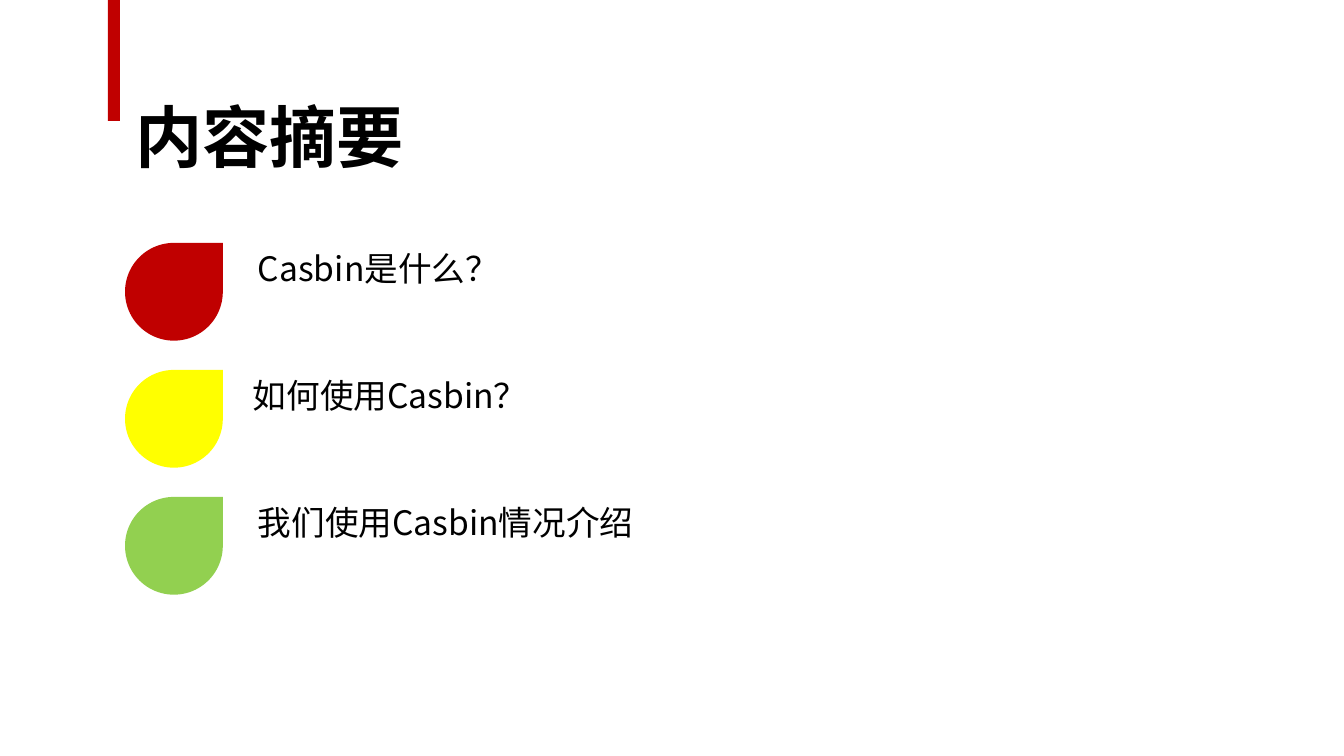
from lxml.etree import SubElement
from pptx import Presentation
from pptx.dml.color import RGBColor
from pptx.enum.lang import MSO_LANGUAGE_ID
from pptx.enum.shapes import MSO_SHAPE
from pptx.enum.text import MSO_ANCHOR, MSO_AUTO_SIZE, PP_ALIGN
from pptx.oxml.ns import qn
from pptx.util import Pt

PX = 9144
FONT = "Noto Sans CJK SC"
RED = RGBColor(0xC0, 0x00, 0x00)
YELLOW = RGBColor(0xFF, 0xFF, 0x00)
GREEN = RGBColor(0x92, 0xD0, 0x50)
BLACK = RGBColor(0x00, 0x00, 0x00)

TOPICS = [
    ("Casbin是什么？", RED, 122),
    ("如何使用Casbin？", YELLOW, 117),
    ("我们使用Casbin情况介绍", GREEN, 122),
]
TOPIC_PITCH = 126
DROP_SIZE = 97


def emu(*lengths):
    return [length * PX for length in lengths]


def set_values(target, values):
    for name, value in values.items():
        setattr(target, name, value)


def write_text(shape, text, size, bold, alignment, wrap):
    frame = shape.text_frame
    set_values(frame, {
        "word_wrap": wrap,
        "auto_size": MSO_AUTO_SIZE.SHAPE_TO_FIT_TEXT,
        "vertical_anchor": MSO_ANCHOR.TOP,
    })
    paragraph = frame.paragraphs[0]
    paragraph.alignment = alignment
    run = paragraph.add_run()
    run.text = text
    set_values(run.font, {
        "size": Pt(size),
        "bold": bold,
        "name": FONT,
        "language_id": MSO_LANGUAGE_ID.SIMPLIFIED_CHINESE,
    })
    run.font.color.rgb = BLACK
    SubElement(run.font._element, qn("a:ea"), typeface=FONT)


def add_filled_shape(slide, kind, box, color):
    shape = slide.shapes.add_shape(kind, *emu(*box))
    shape.shadow.inherit = False
    shape.fill.solid()
    shape.fill.fore_color.rgb = color
    shape.line.fill.background()


def add_heading(slide, left, top):
    add_filled_shape(slide, MSO_SHAPE.RECTANGLE, (left, top, 12, 120), RED)
    title = slide.shapes.title
    names = ("left", "top", "width", "height")
    set_values(title, dict(zip(names, emu(left + 17, top + 90, 287, 91))))
    write_text(title, "内容摘要", 48, True, PP_ALIGN.CENTER, False)


def add_topic(slide, left, top, text, color, indent):
    add_filled_shape(slide, MSO_SHAPE.TEAR, (left, top, DROP_SIZE, DROP_SIZE), color)
    label = slide.shapes.add_textbox(*emu(left + indent, top, 993, 50))
    write_text(label, text, 24, False, PP_ALIGN.LEFT, True)


def add_topics(slide, left, top):
    for index, (text, color, indent) in enumerate(TOPICS):
        add_topic(slide, left, top + index * TOPIC_PITCH, text, color, indent)


def main():
    presentation = Presentation()
    presentation.slide_width, presentation.slide_height = emu(1333, 750)
    slide = presentation.slides.add_slide(presentation.slide_layouts[5])
    add_heading(slide, 107, 0)
    add_topics(slide, 124, 241)
    presentation.save("out.pptx")


if __name__ == "__main__":
    main()
